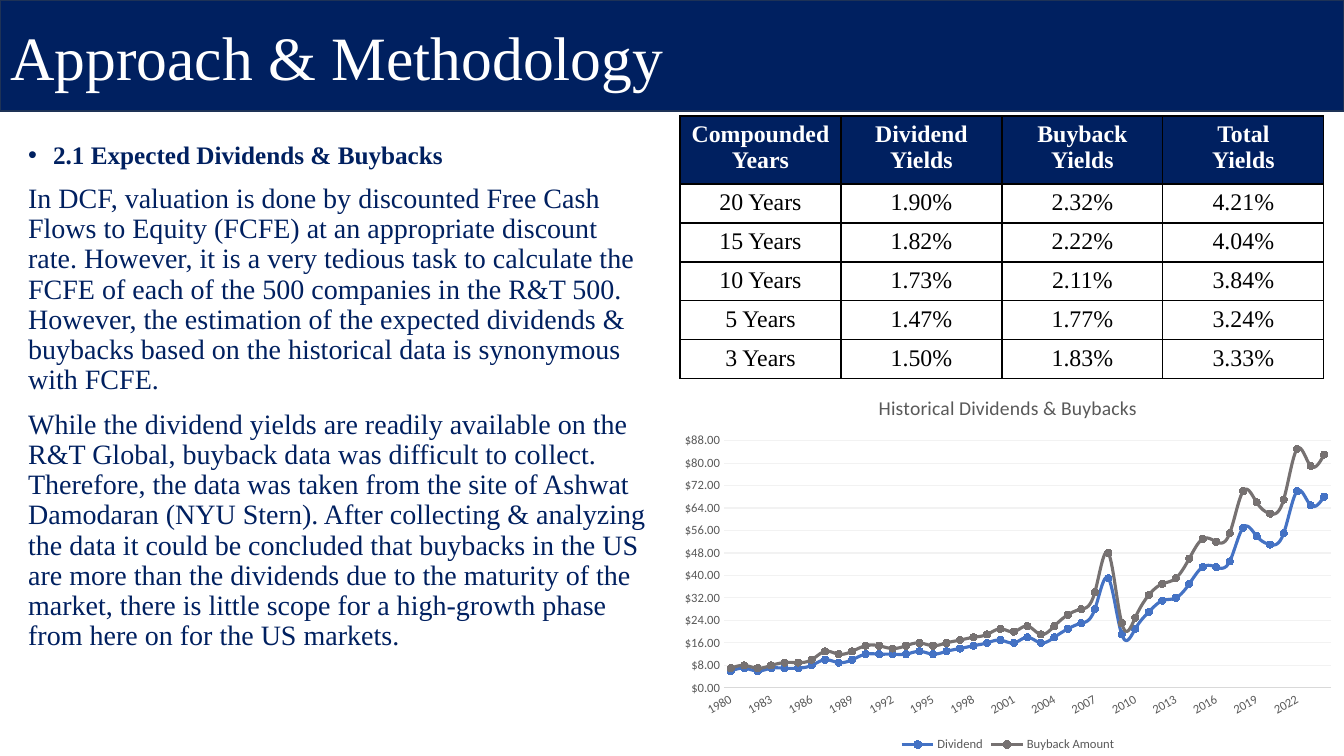
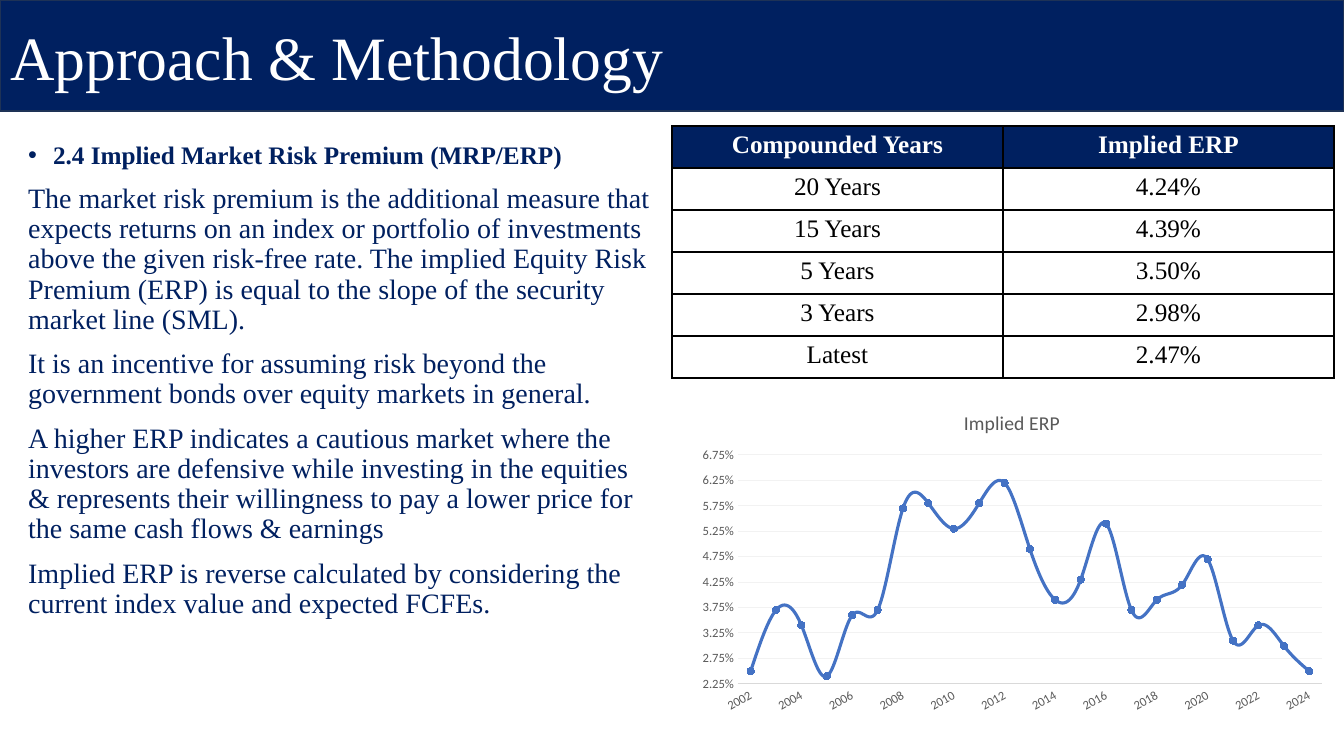
from dataclasses import dataclass

from lxml.etree import SubElement
from pptx import Presentation
from pptx.chart.data import CategoryChartData as Data
from pptx.dml.color import RGBColor as RGB
from pptx.enum.chart import XL_CHART_TYPE as Kind
from pptx.enum.chart import XL_LEGEND_POSITION as Spot
from pptx.enum.chart import XL_MARKER_STYLE as Mark
from pptx.enum.chart import XL_TICK_MARK as Tick
from pptx.enum.text import MSO_ANCHOR as Anchor
from pptx.enum.text import MSO_AUTO_SIZE as Fit
from pptx.enum.text import PP_ALIGN as Align
from pptx.oxml import parse_xml
from pptx.oxml.ns import nsdecls, qn
from pptx.util import Emu, Pt

WIDE, HIGH = 1344, 756
SCALE = 12192000 / WIDE


def px(num):
    return Emu(round(num * SCALE))


def place(shape, box):
    shape.left, shape.top, shape.width, shape.height = map(px, box)


@dataclass(frozen=True)
class Theme:
    navy: str = "002060"
    edge: str = "1E3256"
    white: str = "FFFFFF"
    black: str = "000000"
    blue: str = "4472C4"
    gray: str = "767171"
    label: str = "595959"
    axis: str = "D9D9D9"
    grid: str = "F2F2F2"
    serif: str = "Times New Roman"
    sans: str = "Calibri"
    title: int = 44
    head: int = 18
    body: int = 20
    chart: int = 14
    tick: int = 9


class Deck:
    def __init__(self, theme):
        self.theme = theme
        self.prs = Presentation()
        self.prs.slide_width, self.prs.slide_height = px(WIDE), px(HIGH)
        self.slide = None

    def style(self, font, size, color, face=None, bold=False):
        font.name = face or self.theme.serif
        font.size, font.bold = Pt(size), bold
        font.color.rgb = RGB.from_string(color)

    def paint(self, fill, color):
        fill.solid()
        fill.fore_color.rgb = RGB.from_string(color)

    def stroke(self, line, color, width):
        self.paint(line.fill, color)
        line.width = Pt(width)

    def run(self, para, text, size, color, bold=False):
        run = para.add_run()
        run.text = text
        self.style(run.font, size, color, bold=bold)

    def page(self, text):
        """Start a slide whose title fills the top band."""
        self.slide = self.prs.slides.add_slide(self.prs.slide_layouts[1])
        band = self.slide.shapes.title
        place(band, (0, 0, WIDE, 111))
        self.paint(band.fill, self.theme.navy)
        self.stroke(band.line, self.theme.edge, 1)
        frame = band.text_frame
        frame.auto_size, frame.vertical_anchor = Fit.NONE, Anchor.MIDDLE
        para = frame.paragraphs[0]
        para.alignment = Align.LEFT
        self.run(para, text, self.theme.title, self.theme.white)

    def body(self, head, texts):
        """Fill the left column with a bulleted heading and plain paragraphs."""
        hold = self.slide.placeholders[1]
        place(hold, (18, 138, 644, 557))
        frame = hold.text_frame
        frame.word_wrap, frame.auto_size = True, Fit.NONE
        for num, text in enumerate([head, *texts]):
            first = num == 0
            para = frame.paragraphs[0] if first else frame.add_paragraph()
            props = para._p.get_or_add_pPr()
            dent = px(25) if first else 0
            props.set("marL", str(dent))
            props.set("indent", str(-dent))
            if first:
                SubElement(props, qn("a:buChar")).set("char", "•")
            else:
                SubElement(props, qn("a:buNone"))
            para.line_spacing = 0.9
            para.space_before = Pt(0 if first else 10)
            size = self.theme.head if first else self.theme.body
            self.run(para, text, size, self.theme.navy, first)

    def cell(self, cell, text, size, head):
        props = cell._tc.get_or_add_tcPr()
        for side in "LRTB":
            props.append(parse_xml(
                f'<a:ln{side} {nsdecls("a")} w="12700"><a:solidFill>'
                f'<a:srgbClr val="{self.theme.black}"/></a:solidFill></a:ln{side}>'))
        if head:
            self.paint(cell.fill, self.theme.navy)
        else:
            cell.fill.background()
        color = self.theme.white if head else self.theme.black
        frame = cell.text_frame
        for num, line in enumerate(text.split("\n")):
            para = frame.add_paragraph() if num else frame.paragraphs[0]
            para.alignment = Align.CENTER
            self.run(para, line, size, color, head)

    def table(self, left, top, wide, highs, size, rows):
        """Draw a table with equal columns; highs are the row heights."""
        cols = len(rows[0])
        table = self.slide.shapes.add_table(
            len(rows), cols, px(left), px(top), px(wide * cols), px(sum(highs))).table
        table.first_row = table.horz_banding = False
        for col in table.columns:
            col.width = px(wide)
        for row, (high, texts) in enumerate(zip(highs, rows)):
            table.rows[row].height = px(high)
            for col, text in enumerate(texts):
                self.cell(table.cell(row, col), text, size, row == 0)

    def chart(self, box, plot, title, start, series, scale, form, skip):
        """Draw smooth lines by year; plot is the inner area on the slide."""
        theme = self.theme
        data = Data(number_format=form)
        data.categories = [str(start + num) for num in range(len(series[0][2]))]
        for name, _, vals in series:
            data.add_series(name, vals)
        chart = self.slide.shapes.add_chart(
            Kind.LINE_MARKERS, *map(px, box), data).chart
        self.style(chart.font, 10, theme.black, theme.sans)
        chart.has_title = True
        para = chart.chart_title.text_frame.paragraphs[0]
        run = para.add_run()
        run.text = title
        self.style(run.font, theme.chart, theme.label, theme.sans)
        chart.chart_title.include_in_layout = False
        chart.has_legend = len(series) > 1
        if chart.has_legend:
            chart.legend.position = Spot.BOTTOM
            chart.legend.include_in_layout = False
            self.style(chart.legend.font, theme.tick, theme.label, theme.sans)
        chart.plots[0].vary_by_categories = False
        for line, (_, color, _) in zip(chart.plots[0].series, series):
            line.smooth = True
            self.stroke(line.format.line, color, 2.25)
            line.marker.style, line.marker.size = Mark.CIRCLE, 5
            self.paint(line.marker.format.fill, color)
            self.stroke(line.marker.format.line, color, 0.75)
        self.axes(chart, scale, form, skip)
        self.inset(chart, box, plot)

    def axes(self, chart, scale, form, skip):
        theme = self.theme
        cat, val = chart.category_axis, chart.value_axis
        for axis in (cat, val):
            axis.major_tick_mark = axis.minor_tick_mark = Tick.NONE
            self.style(axis.tick_labels.font, theme.tick, theme.label, theme.sans)
        self.stroke(cat.format.line, theme.axis, 0.75)
        cat._element.find(qn("c:txPr")).find(qn("a:bodyPr")).set("rot", "-1800000")
        step = parse_xml(f'<c:tickLblSkip {nsdecls("c")} val="{skip}"/>')
        cat._element.find(qn("c:noMultiLvlLbl")).addprevious(step)
        val.format.line.fill.background()
        val.minimum_scale, val.maximum_scale, val.major_unit = scale
        val.has_major_gridlines = True
        self.stroke(val.major_gridlines.format.line, theme.grid, 0.75)
        val.tick_labels.number_format = form
        val.tick_labels.number_format_is_linked = False

    def inset(self, chart, box, plot):
        """Fix the inner plot area as shares of the chart box."""
        left, top, wide, high = box
        area = chart._chartSpace.chart.plotArea
        for old in area.findall(qn("c:layout")):
            area.remove(old)
        lay = parse_xml(f'<c:layout {nsdecls("c")}><c:manualLayout/></c:layout>')
        parts = [("layoutTarget", "inner"), ("xMode", "edge"), ("yMode", "edge"),
                 ("x", (plot[0] - left) / wide), ("y", (plot[1] - top) / high),
                 ("w", plot[2] / wide), ("h", plot[3] / high)]
        for name, val in parts:
            SubElement(lay[0], qn(f"c:{name}")).set("val", str(val))
        area.insert(0, lay)


TITLE = "Approach & Methodology"
PAYOUT = [
    "In DCF, valuation is done by discounted Free Cash Flows to Equity (FCFE) at an "
    "appropriate discount rate. However, it is a very tedious task to calculate the "
    "FCFE of each of the 500 companies in the R&T 500. However, the estimation of the "
    "expected dividends & buybacks based on the historical data is synonymous with FCFE.",
    "While the dividend yields are readily available on the R&T Global, buyback data was "
    "difficult to collect. Therefore, the data was taken from the site of Ashwat Damodaran "
    "(NYU Stern). After collecting & analyzing the data it could be concluded that buybacks "
    "in the US are more than the dividends due to the maturity of the market, there is "
    "little scope for a high-growth phase from here on for the US markets.",
]
PREMIUM = [
    "The market risk premium is the additional measure that expects returns on an index or "
    "portfolio of investments above the given risk-free rate. The implied Equity Risk "
    "Premium (ERP) is equal to the slope of the security market line (SML).",
    "It is an incentive for assuming risk beyond the government bonds over equity markets "
    "in general.",
    "A higher ERP indicates a cautious market where the investors are defensive while "
    "investing in the equities & represents their willingness to pay a lower price for the "
    "same cash flows & earnings",
    "Implied ERP is reverse calculated by considering the current index value and expected "
    "FCFEs.",
]
YIELDS = [
    ("Compounded Years", "Dividend Yields", "Buyback Yields", "Total\nYields"),
    ("20 Years", "1.90%", "2.32%", "4.21%"),
    ("15 Years", "1.82%", "2.22%", "4.04%"),
    ("10 Years", "1.73%", "2.11%", "3.84%"),
    ("5 Years", "1.47%", "1.77%", "3.24%"),
    ("3 Years", "1.50%", "1.83%", "3.33%"),
]
RATES = [
    ("Compounded Years", "Implied ERP"),
    ("20 Years", "4.24%"),
    ("15 Years", "4.39%"),
    ("5 Years", "3.50%"),
    ("3 Years", "2.98%"),
    ("Latest", "2.47%"),
]
DIVS = [6, 7, 6, 7, 7, 7, 8, 10, 9, 10, 12, 12, 12, 12, 13, 12, 13, 14, 15, 16, 17, 16,
        18, 16, 18, 21, 23, 28, 39, 19, 21, 27, 31, 32, 37, 43, 43, 45, 57, 54, 51, 55,
        70, 65, 68]
BUYS = [7, 8, 7, 8, 9, 9, 10, 13, 12, 13, 15, 15, 14, 15, 16, 15, 16, 17, 18, 19, 21, 20,
        22, 19, 22, 26, 28, 34, 48, 23, 25, 33, 37, 39, 46, 53, 52, 55, 70, 66, 62, 67,
        85, 79, 83]
ERP = [0.025, 0.037, 0.034, 0.024, 0.036, 0.037, 0.057, 0.058, 0.053, 0.058, 0.062, 0.049,
       0.039, 0.043, 0.054, 0.037, 0.039, 0.042, 0.047, 0.031, 0.034, 0.03, 0.025]


def main():
    theme = Theme()
    deck = Deck(theme)

    deck.page(TITLE)
    deck.body("2.1 Expected Dividends & Buybacks", PAYOUT)
    deck.table(680, 116, 161, [68] + [39] * 5, 17, YIELDS)
    deck.chart((672, 378, 672, 378), (724, 435, 607, 253),
               "Historical Dividends & Buybacks", 1980,
               [("Dividend", theme.blue, DIVS), ("Buyback Amount", theme.gray, BUYS)],
               (0, 90, 8), "[$$-409]#,##0.00", 3)

    deck.page(TITLE)
    deck.body("2.4 Implied Market Risk Premium (MRP/ERP)", PREMIUM)
    deck.table(672, 126, 331, [42] * 6, 18, RATES)
    deck.chart((690, 394, 644, 326), (738, 455, 584, 229), "Implied ERP", 2002,
               [("Implied ERP", theme.blue, ERP)],
               (0.0225, 0.0675, 0.005), "0.00%", 2)

    deck.prs.save("out.pptx")


if __name__ == "__main__":
    main()
